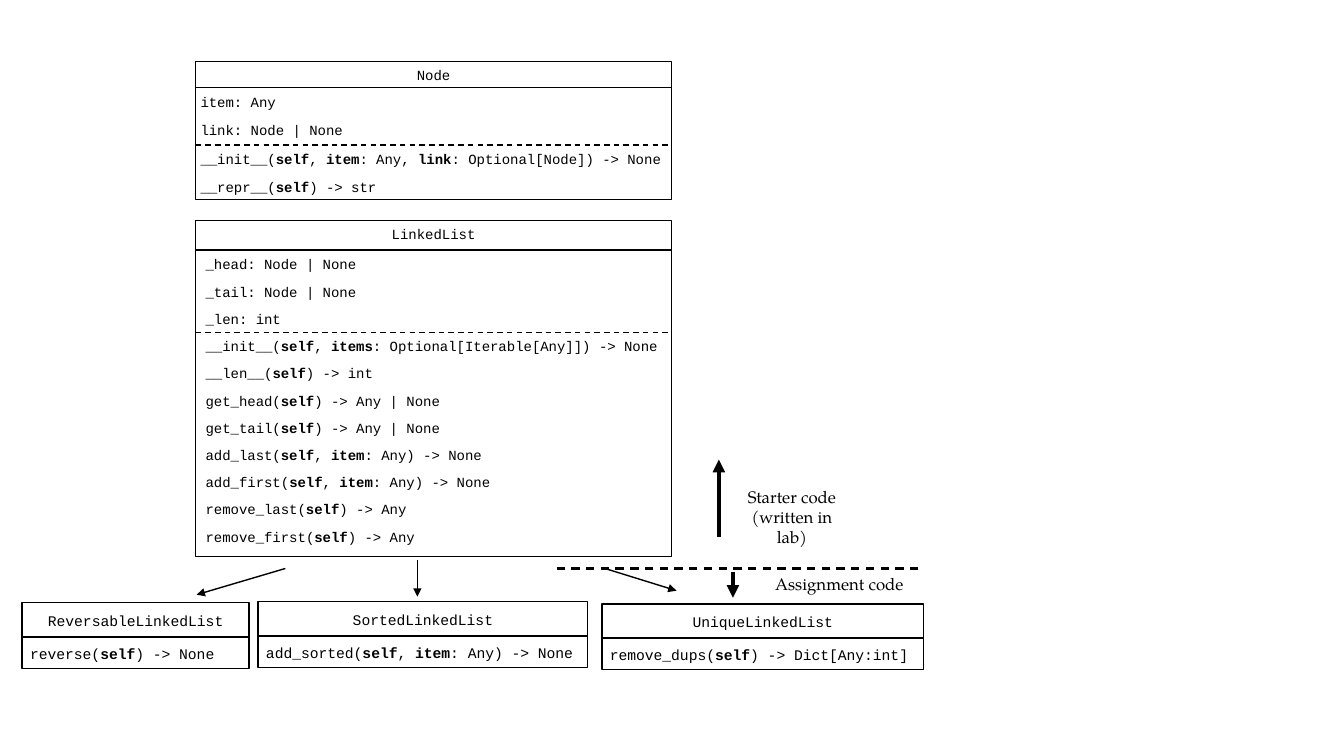
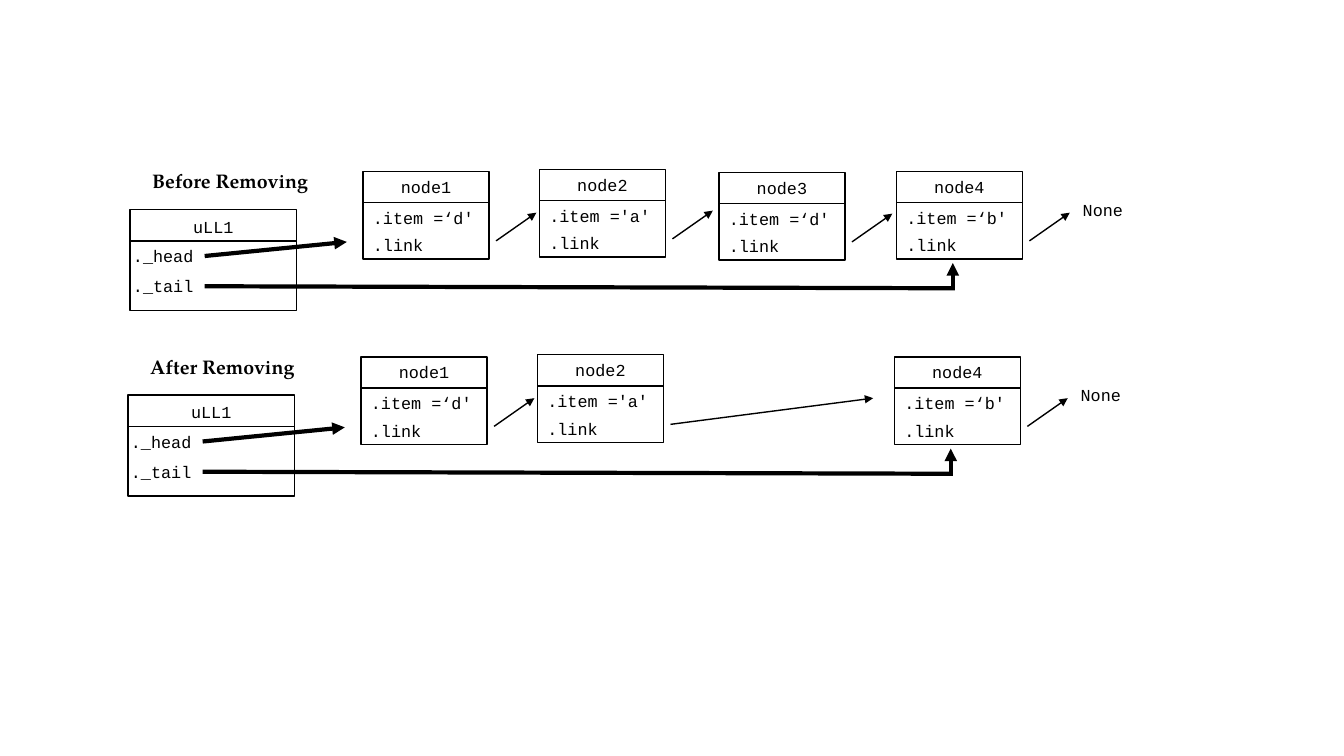
from dataclasses import dataclass

from lxml.etree import SubElement
from pptx import Presentation
from pptx.dml.color import RGBColor
from pptx.enum.dml import MSO_LINE
from pptx.enum.shapes import MSO_CONNECTOR, MSO_SHAPE
from pptx.enum.text import PP_ALIGN
from pptx.oxml.ns import qn
from pptx.util import Inches, Pt


@dataclass(frozen=True)
class Theme:
    """Colours, fonts, type sizes and line widths of the deck."""
    ink: RGBColor = RGBColor(0, 0, 0)
    code_font: str = "Courier New"
    label_font: str = "TeX Gyre Pagella"
    member_size: float = 10
    subclass_size: float = 10.5
    body_size: float = 12
    heading_size: float = 14
    thin: float = 1
    medium: float = 1.5
    thick: float = 3


class Diagram:
    """Draws boxes, text and arrows on the current slide."""

    def __init__(self, theme):
        self.theme = theme
        self.deck = Presentation()
        self.deck.slide_width = Inches(13.33)
        self.deck.slide_height = Inches(7.5)
        self.slide = None

    def new_slide(self):
        """Start a blank slide."""
        self.slide = self.deck.slides.add_slide(self.deck.slide_layouts[6])

    def text(self, left, top, width, height, content, size, font, centred=True):
        """Add one paragraph in which *starred* parts are bold."""
        box = self.slide.shapes.add_textbox(
            Inches(left), Inches(top), Inches(width), Inches(height))
        frame = box.text_frame
        frame.word_wrap = True
        para = frame.paragraphs[0]
        para.alignment = PP_ALIGN.CENTER if centred else PP_ALIGN.LEFT
        if not centred:
            frame.margin_right = 0
        for index, part in enumerate(content.split("*")):
            if part:
                span = para.add_run()
                span.text = part
                span.font.name = font
                span.font.size = Pt(size)
                span.font.bold = index % 2 == 1
                span.font.color.rgb = self.theme.ink

    def code(self, left, top, width, content, size, centred=False):
        """Add one line of code."""
        self.text(left, top, width, 0.28, content, size, self.theme.code_font, centred)

    def label(self, left, top, width, height, content, size, centred=True):
        """Add a caption."""
        self.text(left, top, width, height, content, size, self.theme.label_font, centred)

    def line(self, start, end, weight, arrow=False, dashed=False):
        """Add a straight line with an optional arrowhead or dashes."""
        points = [Inches(value) for value in (*start, *end)]
        connector = self.slide.shapes.add_connector(MSO_CONNECTOR.STRAIGHT, *points)
        connector.line.color.rgb = self.theme.ink
        connector.line.width = Pt(weight)
        if dashed:
            connector.line.dash_style = MSO_LINE.DASH
        if arrow:
            SubElement(connector.line._get_or_add_ln(), qn("a:tailEnd"), type="triangle")
        SubElement(connector._element.spPr, qn("a:effectLst"))

    def record(self, left, top, width, height, title, rows, size, rule,
               pitch=0.27, title_drop=0, row_drop=0.01, indent=0, fields=0):
        """Add a titled box of code rows, with a dashed rule after the fields."""
        box = self.slide.shapes.add_shape(
            MSO_SHAPE.RECTANGLE, Inches(left), Inches(top), Inches(width), Inches(height))
        box.shadow.inherit = False
        box.fill.background()
        box.line.color.rgb = self.theme.ink
        box.line.width = Pt(self.theme.thin)
        self.code(left, top + title_drop, width, title, size, True)
        right, rule_top = left + width, top + rule
        self.line((left, rule_top), (right, rule_top), self.theme.thin)
        first_row = rule_top + row_drop
        for index, row in enumerate(rows):
            self.code(left + indent, first_row + index * pitch, width, row, size)
        if fields:
            divider = first_row + fields * pitch
            self.line((left, divider), (right, divider), self.theme.thin, dashed=True)


def draw_classes(diagram):
    """Draw the class hierarchy."""
    theme = diagram.theme
    diagram.new_slide()
    diagram.record(
        1.94, 0.61, 4.72, 1.37, "Node",
        ["item: Any", "link: Node | None",
         "__init__(*self*, *item*: Any, *link*: Optional[Node]) -> None",
         "__repr__(*self*) -> str"],
        theme.member_size, 0.26, pitch=0.28, indent=-0.05, fields=2)
    diagram.record(
        1.94, 2.19, 4.72, 3.33, "LinkedList",
        ["_head: Node | None", "_tail: Node | None", "_len: int",
         "__init__(*self*, *items*: Optional[Iterable[Any]]) -> None",
         "__len__(*self*) -> int",
         "get_head(*self*) -> Any | None", "get_tail(*self*) -> Any | None",
         "add_last(*self*, *item*: Any) -> None", "add_first(*self*, *item*: Any) -> None",
         "remove_last(*self*) -> Any", "remove_first(*self*) -> Any"],
        theme.member_size, 0.29, fields=3)
    subclasses = [
        (0.22, 5.98, 2.25, "ReversableLinkedList", "reverse(*self*) -> None"),
        (2.56, 5.97, 3.27, "SortedLinkedList", "add_sorted(*self*, *item*: Any) -> None"),
        (5.97, 5.99, 3.19, "UniqueLinkedList", "remove_dups(*self*) -> Dict[Any:int]"),
    ]
    for left, top, width, name, method in subclasses:
        diagram.record(left, top, width, 0.65, name, [method], theme.subclass_size,
                       0.34, title_drop=0.04, row_drop=0.03, indent=-0.02)
    for start, end, weight in [
        ((2.83, 5.64), (1.95, 5.9), theme.thin),
        ((4.14, 5.56), (4.14, 5.92), theme.thin),
        ((6, 5.64), (6.71, 5.86), theme.thin),
        ((7.13, 5.33), (7.13, 4.56), theme.thick),
        ((7.27, 5.67), (7.27, 5.93), theme.thick),
    ]:
        diagram.line(start, end, weight, arrow=True)
    diagram.line((5.52, 5.64), (9.15, 5.64), theme.medium, dashed=True)
    diagram.label(7.19, 4.78, 1.33, 0.5, "Starter code (written in lab)", theme.body_size)
    diagram.label(7.49, 5.64, 1.67, 0.3, "Assignment code", theme.body_size)


def draw_list(diagram, left, top, heading, nodes):
    """Draw a linked list with its head and tail pointers."""
    theme = diagram.theme
    diagram.label(left + 0.12, top - 0.45, 2, 0.34, f"*{heading}*",
                  theme.heading_size, False)
    diagram.record(left, top, 1.65, 1, "uLL1", ["._head", "._tail"], theme.body_size,
                   0.31, pitch=0.3, title_drop=0.02, row_drop=0, indent=-0.07)
    pointer = left + 0.74
    corner = (left + 8.16, top + 0.78)
    diagram.line((pointer, top + 0.46), (left + 2.15, top + 0.32), theme.thick, arrow=True)
    diagram.line((pointer, top + 0.76), (left + 8.18, top + 0.78), theme.thick)
    diagram.line(corner, (corner[0], top + 0.53), theme.thick, arrow=True)
    for offset, rise, name, item, reach, climb in nodes:
        node_left, node_top = left + offset, top - rise
        diagram.record(node_left, node_top, 1.25, 0.87, name,
                       [f".item ={item}", ".link"], theme.body_size, 0.31, row_drop=0)
        tail = (node_left + 1.32, node_top + 0.69)
        diagram.line(tail, (tail[0] + reach, tail[1] - climb), theme.thin, arrow=True)
    diagram.code(left + 9.35, top - 0.15, 0.8, "None", theme.body_size)


def draw_removal(diagram):
    """Draw the list before and after removing duplicates."""
    diagram.new_slide()
    step = (0.4, 0.28)
    first = (2.31, 0.38, "node1", "‘d'", *step)
    second = (4.06, 0.4, "node2", "'a'")
    third = (5.84, 0.37, "node3", "‘d'", *step)
    fourth = (7.6, 0.38, "node4", "‘b'", *step)
    draw_list(diagram, 1.29, 2.08, "Before Removing",
              [first, (*second, *step), third, fourth])
    draw_list(diagram, 1.27, 3.92, "After Removing",
              [first, (*second, 2.01, 0.26), fourth])


def main():
    """Build and save the deck."""
    diagram = Diagram(Theme())
    draw_classes(diagram)
    draw_removal(diagram)
    diagram.deck.save("out.pptx")


if __name__ == "__main__":
    main()
